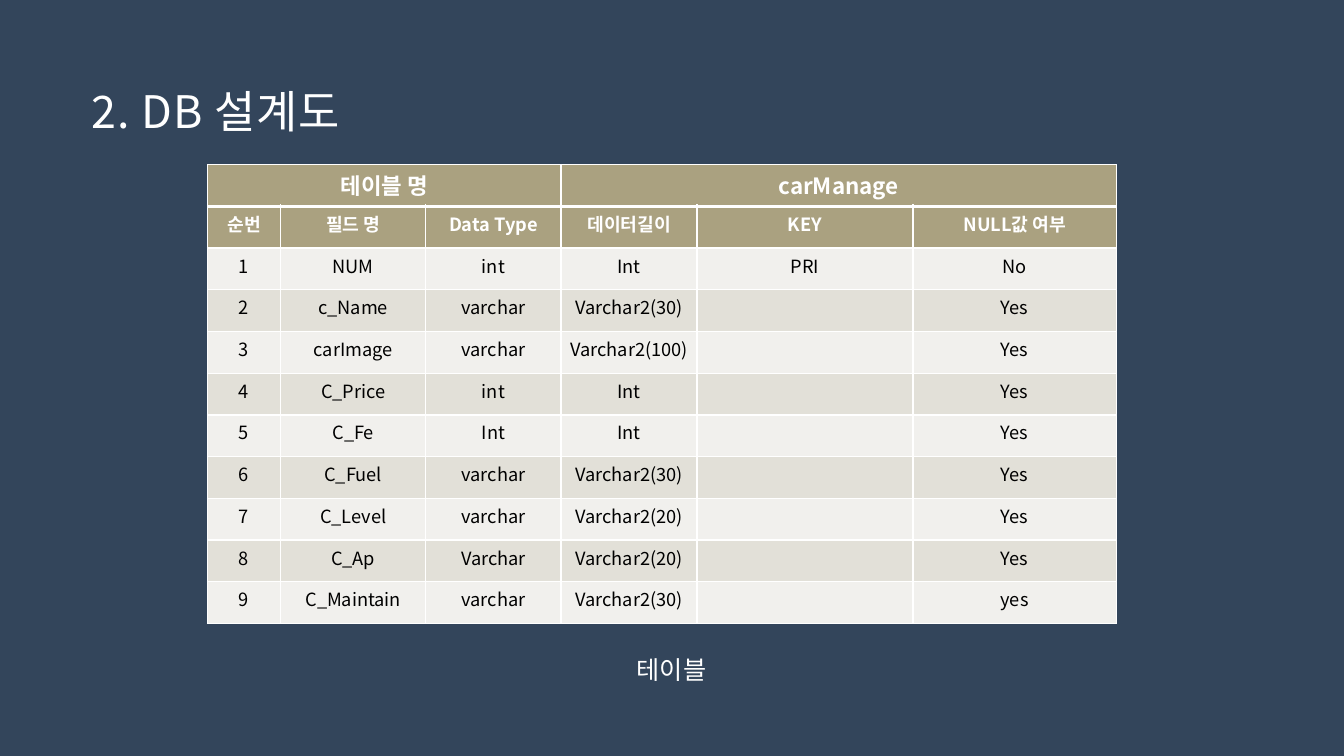
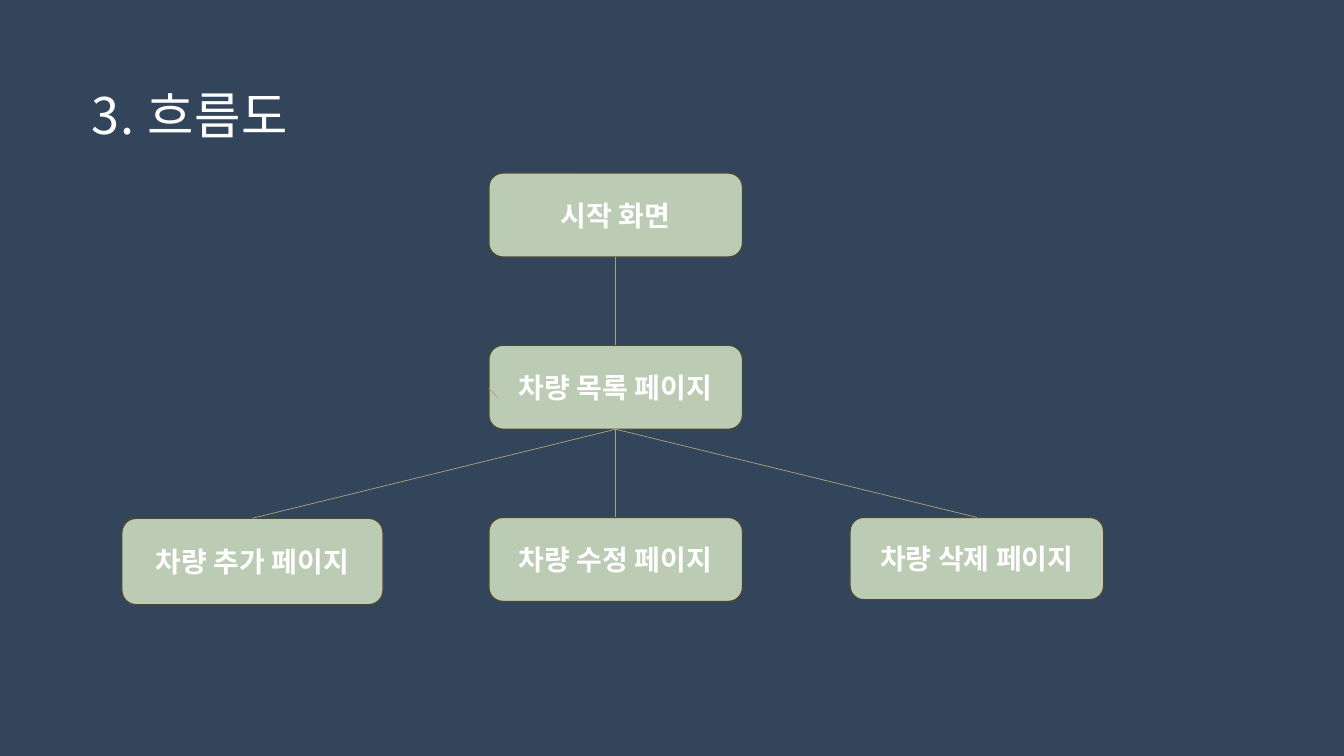
"""Builds the table design and page flow slides of a car management project."""
from dataclasses import dataclass

from lxml import etree
from pptx import Presentation
from pptx.dml.color import RGBColor
from pptx.enum.shapes import MSO_CONNECTOR, MSO_SHAPE
from pptx.enum.text import MSO_ANCHOR, PP_ALIGN
from pptx.oxml.ns import qn
from pptx.util import Emu, Inches, Pt

STRAIGHT = MSO_CONNECTOR.STRAIGHT
ROUNDED = MSO_SHAPE.ROUNDED_RECTANGLE
MIDDLE, TOP = MSO_ANCHOR.MIDDLE, MSO_ANCHOR.TOP
CENTER, LEFT = PP_ALIGN.CENTER, PP_ALIGN.LEFT

SLIDE_WIDTH, SLIDE_HEIGHT = Inches(13.333), Inches(7.5)
GRID_COLUMNS, GRID_ROWS = 160, 90

NAVY, WHITE, BLACK = "33455B", "FFFFFF", "000000"
KHAKI, SAGE, OLIVE = "AAA180", "BCCBB3", "4B4738"
BANDS = ("F1F0ED", "E2E0D8")
KOREAN_FONT, BOX_FONT = "Noto Sans CJK KR", "Arial"
BOTTOM_SITE, TOP_SITE = 2, 0

TABLE_HEADING = ("테이블 명", "", "", "carManage", "", "")
FIELD_HEADINGS = ("순번", "필드 명", "Data Type", "데이터길이", "KEY", "NULL값 여부")
FIELDS = (
    ("NUM", "int", "Int", "PRI", "No"),
    ("c_Name", "varchar", "Varchar2(30)", "", "Yes"),
    ("carImage", "varchar", "Varchar2(100)", "", "Yes"),
    ("C_Price", "int", "Int", "", "Yes"),
    ("C_Fe", "Int", "Int", "", "Yes"),
    ("C_Fuel", "varchar", "Varchar2(30)", "", "Yes"),
    ("C_Level", "varchar", "Varchar2(20)", "", "Yes"),
    ("C_Ap", "Varchar", "Varchar2(20)", "", "Yes"),
    ("C_Maintain", "varchar", "Varchar2(30)", "", "yes"),
)
FIELD_WIDTHS = (8.7, 17.3, 16.1, 16.2, 25.7, 24.2)
FIELD_HEIGHT = 4.97


@dataclass(frozen=True)
class Area:
    """A place on the slide in grid columns and rows."""
    left: float
    top: float
    width: float
    height: float

    def emu(self) -> tuple[Emu, Emu, Emu, Emu]:
        """Return left, top, width and height as lengths."""
        return across(self.left), down(self.top), across(self.width), down(self.height)


@dataclass(frozen=True)
class TextStyle:
    """The look of a paragraph."""
    size: float
    color: str = WHITE
    bold: bool = False
    font: str = KOREAN_FONT
    align: int = CENTER
    tracking: int = 0
    line_spacing: float = 1.0


@dataclass(frozen=True)
class Page:
    """A box of the page flow and the box it hangs from."""
    label: str
    area: Area
    parent: str = ""


CAPTION = TextStyle(18)
BOX_LABEL = TextStyle(20, bold=True, font=BOX_FONT)
TABLE_NAME = TextStyle(16, bold=True)
FIELD_NAME = TextStyle(13, bold=True)
FIELD_VALUE = TextStyle(13, BLACK)

START, CAR_LIST = "시작 화면", "차량 목록 페이지"
LEVEL_TOPS = tuple(20.6 + 20.5 * level for level in range(3))
PAGES = (
    Page(START, Area(58.2, LEVEL_TOPS[0], 30.2, 10)),
    Page(CAR_LIST, Area(58.2, LEVEL_TOPS[1], 30.2, 10), START),
    Page("차량 추가 페이지", Area(14.5, LEVEL_TOPS[2] + 0.1, 31.1, 10.3), CAR_LIST),
    Page("차량 수정 페이지", Area(58.2, LEVEL_TOPS[2], 30.2, 10), CAR_LIST),
    Page("차량 삭제 페이지", Area(101.2, LEVEL_TOPS[2], 30.2, 9.8), CAR_LIST),
)


def across(columns: float) -> Emu:
    """Turn grid columns into a length."""
    return Emu(round(SLIDE_WIDTH * columns / GRID_COLUMNS))


def down(rows: float) -> Emu:
    """Turn grid rows into a length."""
    return Emu(round(SLIDE_HEIGHT * rows / GRID_ROWS))


def paint(target, color: str) -> None:
    """Give a fill or a line a solid colour."""
    fill = target if hasattr(target, "solid") else target.fill
    fill.solid()
    fill.fore_color.rgb = RGBColor.from_string(color)


def write(frame, text: str, style: TextStyle) -> None:
    """Write one styled paragraph into a text frame."""
    paragraph = frame.paragraphs[0]
    paragraph.text = text
    paragraph.alignment = style.align
    paragraph.line_spacing = style.line_spacing
    font = paragraph.font
    font.size, font.bold, font.name = Pt(style.size), style.bold, style.font
    font.color.rgb = RGBColor.from_string(style.color)
    defaults = paragraph._p.pPr.find(qn("a:defRPr"))
    defaults.set("spc", str(style.tracking))
    etree.SubElement(defaults, qn("a:ea"), typeface=KOREAN_FONT)
    if not text:
        etree.SubElement(paragraph._p, qn("a:endParaRPr"), sz=str(style.size * 100))


def add_text(slide, text: str, area: Area, style: TextStyle):
    """Add a wrapping text box and return its frame."""
    frame = slide.shapes.add_textbox(*area.emu()).text_frame
    frame.word_wrap = True
    frame.vertical_anchor = TOP
    write(frame, text, style)
    return frame


def add_slide(deck, title: str, size: int, area: Area):
    """Add a navy slide with its title."""
    slide = deck.slides.add_slide(deck.slide_layouts[6])
    paint(slide.background.fill, NAVY)
    style = TextStyle(size, align=LEFT, tracking=60, line_spacing=1.05)
    frame = add_text(slide, title, area, style)
    frame.margin_left = frame.margin_right = frame.margin_top = Inches(0.12)
    frame.margin_bottom = Inches(0.1)
    return slide


def add_borders(cell, top: int, bottom: int) -> None:
    """Draw white cell borders with the given top and bottom widths."""
    properties = cell._tc.get_or_add_tcPr()
    for side, width in (("L", 1), ("R", 1), ("T", top), ("B", bottom)):
        border = etree.SubElement(properties, qn(f"a:ln{side}"), w=str(Pt(width)))
        fill = etree.SubElement(border, qn("a:solidFill"))
        etree.SubElement(fill, qn("a:srgbClr"), val=WHITE)


def fill_cell(cell, text: str, row: int) -> None:
    """Fill, border and label a cell according to its row."""
    add_borders(cell, 3 if row == 1 else 1, 3 if row == 0 else 1)
    paint(cell.fill, KHAKI if row < 2 else BANDS[row % 2])
    cell.margin_left = cell.margin_right = Inches(0.07)
    cell.margin_top = cell.margin_bottom = Inches(0.04)
    write(cell.text_frame, text, (TABLE_NAME, FIELD_NAME)[row] if row < 2 else FIELD_VALUE)


def add_field_table(slide) -> None:
    """Add the table of database fields."""
    numbered = [(str(number), *field) for number, field in enumerate(FIELDS, 1)]
    rows = [TABLE_HEADING, FIELD_HEADINGS, *numbered]
    area = Area(24.7, 19.6, sum(FIELD_WIDTHS), FIELD_HEIGHT * len(rows))
    table = slide.shapes.add_table(len(rows), len(FIELD_WIDTHS), *area.emu()).table
    table.first_row = table.horz_banding = False
    for column, width in zip(table.columns, FIELD_WIDTHS):
        column.width = across(width)
    for row, texts in enumerate(rows):
        table.rows[row].height = down(FIELD_HEIGHT)
        for column, text in enumerate(texts):
            fill_cell(table.cell(row, column), text, row)
    for first in (0, 3):
        table.cell(0, first).merge(table.cell(0, first + 2))


def add_page(slide, page: Page):
    """Add a rounded box for a page."""
    box = slide.shapes.add_shape(ROUNDED, *page.area.emu())
    box.shadow.inherit = False
    paint(box.fill, SAGE)
    paint(box.line, OLIVE)
    box.line.width = Pt(1)
    box.text_frame.word_wrap = True
    box.text_frame.vertical_anchor = MIDDLE
    write(box.text_frame, page.label, BOX_LABEL)
    return box


def add_link(slide, start: tuple[float, float], end: tuple[float, float]):
    """Add a thin khaki line between two grid points."""
    link = slide.shapes.add_connector(
        STRAIGHT, across(start[0]), down(start[1]), across(end[0]), down(end[1]))
    paint(link.line, KHAKI)
    link.line.width = Pt(0.5)
    etree.SubElement(link._element.spPr, qn("a:effectLst"))
    return link


def add_page_flow(slide) -> None:
    """Add the pages and the links from parent to child."""
    boxes = {page.label: add_page(slide, page) for page in PAGES}
    add_link(slide, (59.2, 47.3), (58.2, 46.2))
    for page in PAGES:
        if page.parent:
            link = add_link(slide, (0, 0), (1, 1))
            link.begin_connect(boxes[page.parent], BOTTOM_SITE)
            link.end_connect(boxes[page.label], TOP_SITE)


def main() -> None:
    """Build and save the deck."""
    deck = Presentation()
    deck.slide_width, deck.slide_height = SLIDE_WIDTH, SLIDE_HEIGHT
    design = add_slide(deck, "2. DB 설계도", 32, Area(9.5, 8.2, 40.7, 19.4))
    add_field_table(design)
    add_text(design, "테이블", Area(71, 77.3, 17.9, 4.8), CAPTION)
    flow = add_slide(deck, "3. 흐름도", 36, Area(9.5, 8.2, 142.5, 10))
    add_page_flow(flow)
    deck.save("out.pptx")


if __name__ == "__main__":
    main()
